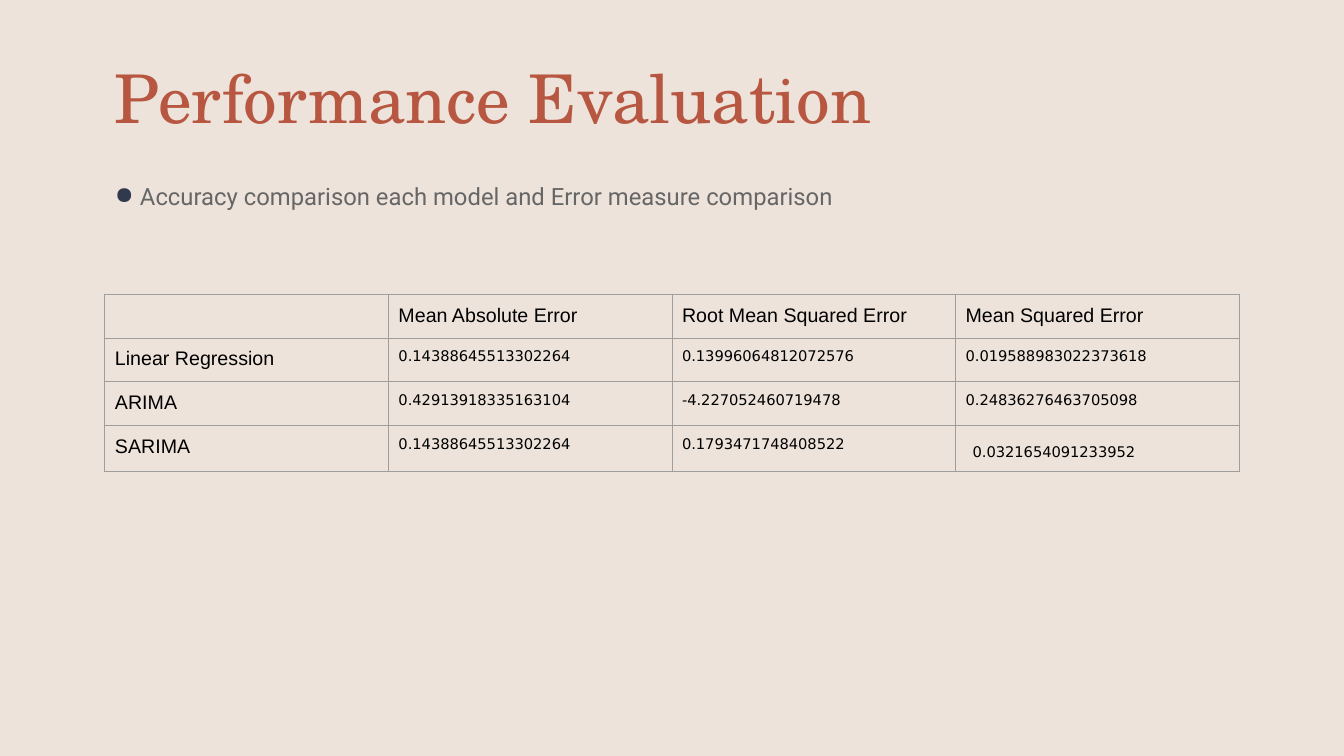
from lxml.etree import SubElement
from pptx import Presentation
from pptx.dml.color import RGBColor
from pptx.enum.text import MSO_ANCHOR, MSO_AUTO_SIZE, PP_ALIGN
from pptx.oxml.ns import qn
from pptx.util import Inches, Pt

TITLE = {"size": Pt(48), "name": "TeX Gyre Schola", "color": "B85741"}
BODY = {"size": Pt(17), "name": "Roboto", "color": "666666"}
LABEL = {"size": Pt(14), "name": "Arial", "color": "000000", "bold": False}
VALUE = {**LABEL, "size": Pt(10.5), "name": "DejaVu Sans"}

ROWS = [
    ["", "Mean Absolute Error", "Root Mean Squared Error", "Mean Squared Error"],
    ["Linear Regression", "0.14388645513302264", "0.13996064812072576",
     "0.019588983022373618"],
    ["ARIMA", "0.42913918335163104", "-4.227052460719478", "0.24836276463705098"],
    ["SARIMA", "0.14388645513302264", "0.1793471748408522", "0.0321654091233952"],
]


def paint(target, color):
    target.rgb = RGBColor.from_string(color)


def put(obj, **values):
    for key, value in values.items():
        setattr(obj, key, value)


def write(frame, text, style):
    para = frame.paragraphs[0]
    run = para.add_run()
    run.text = text
    for key, value in style.items():
        if key == "color":
            paint(run.font.color, value)
        else:
            setattr(run.font, key, value)
    return para


def add_title(slide, text):
    title = slide.shapes.title
    put(title, left=Inches(1.04), top=Inches(0.17),
        width=Inches(8.48), height=Inches(1.68))
    put(title.text_frame, word_wrap=True, auto_size=MSO_AUTO_SIZE.NONE,
        vertical_anchor=MSO_ANCHOR.MIDDLE)
    para = write(title.text_frame, text, TITLE)
    put(para, alignment=PP_ALIGN.LEFT, line_spacing=0.9)


def add_bullet(slide, text):
    box = slide.shapes.add_textbox(Inches(1.04), Inches(1.79),
                                   Inches(11.14), Inches(1.03))
    box.text_frame.word_wrap = True
    para = write(box.text_frame, text, BODY)
    put(para, line_spacing=0.9, space_after=Pt(16))
    # Hanging indent and bullet mark
    props = para._p.get_or_add_pPr()
    props.set("marL", str(Inches(0.25)))
    props.set("indent", str(Inches(-0.25)))
    color = SubElement(props, qn("a:buClr"))
    SubElement(color, qn("a:srgbClr"), val="31394D")
    SubElement(props, qn("a:buChar"), char="●")


def add_edges(cell, color):
    props = cell._tc.get_or_add_tcPr()
    for side in ("lnL", "lnR", "lnT", "lnB"):
        line = SubElement(props, qn("a:" + side), w=str(Pt(0.75)))
        fill = SubElement(line, qn("a:solidFill"))
        SubElement(fill, qn("a:srgbClr"), val=color)


def add_grid(slide, rows):
    high, wide = len(rows), len(rows[0])
    table = slide.shapes.add_table(high, wide, Inches(1.04), Inches(2.92),
                                   Inches(11.25), Inches(0.42 * high)).table
    put(table, first_row=False, horz_banding=False)
    for r, row in enumerate(rows):
        for c, text in enumerate(row):
            cell = table.cell(r, c)
            add_edges(cell, "9E9E9E")
            cell.fill.background()
            if text:
                pad = Inches(0.1)
                put(cell, margin_left=pad, margin_right=pad,
                    margin_top=pad, margin_bottom=pad)
                write(cell.text_frame, text, VALUE if r and c else LABEL)
    # The last value sits lower and further right in a taller row
    table.rows[high - 1].height = Inches(0.46)
    put(table.cell(high - 1, wide - 1),
        margin_left=Inches(0.17), margin_top=Inches(0.18))


def main():
    deck = Presentation()
    put(deck, slide_width=Inches(13.33), slide_height=Inches(7.5))
    slide = deck.slides.add_slide(deck.slide_layouts[5])
    # Background
    fill = slide.background.fill
    fill.solid()
    paint(fill.fore_color, "EDE3DA")
    # Content
    add_title(slide, "Performance Evaluation")
    add_bullet(slide, "Accuracy comparison each model and Error measure comparison")
    add_grid(slide, ROWS)
    deck.save("out.pptx")


if __name__ == "__main__":
    main()
